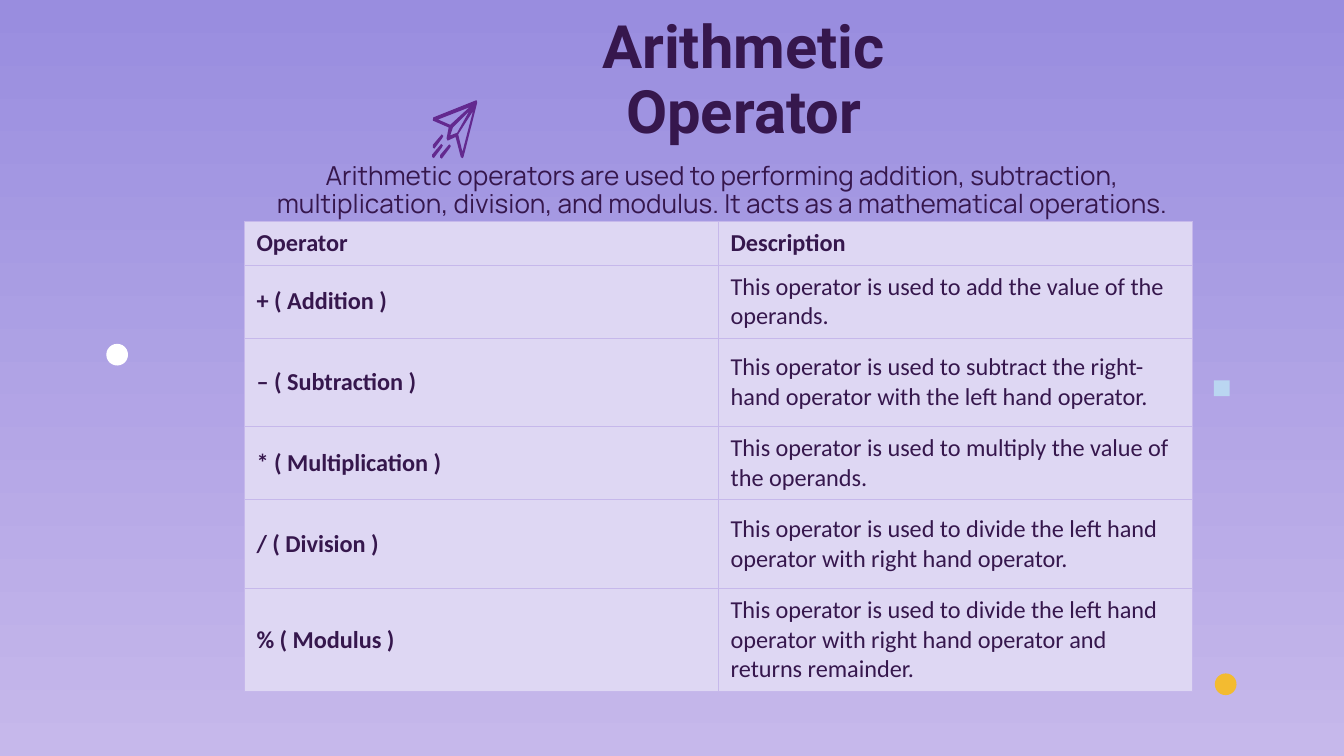
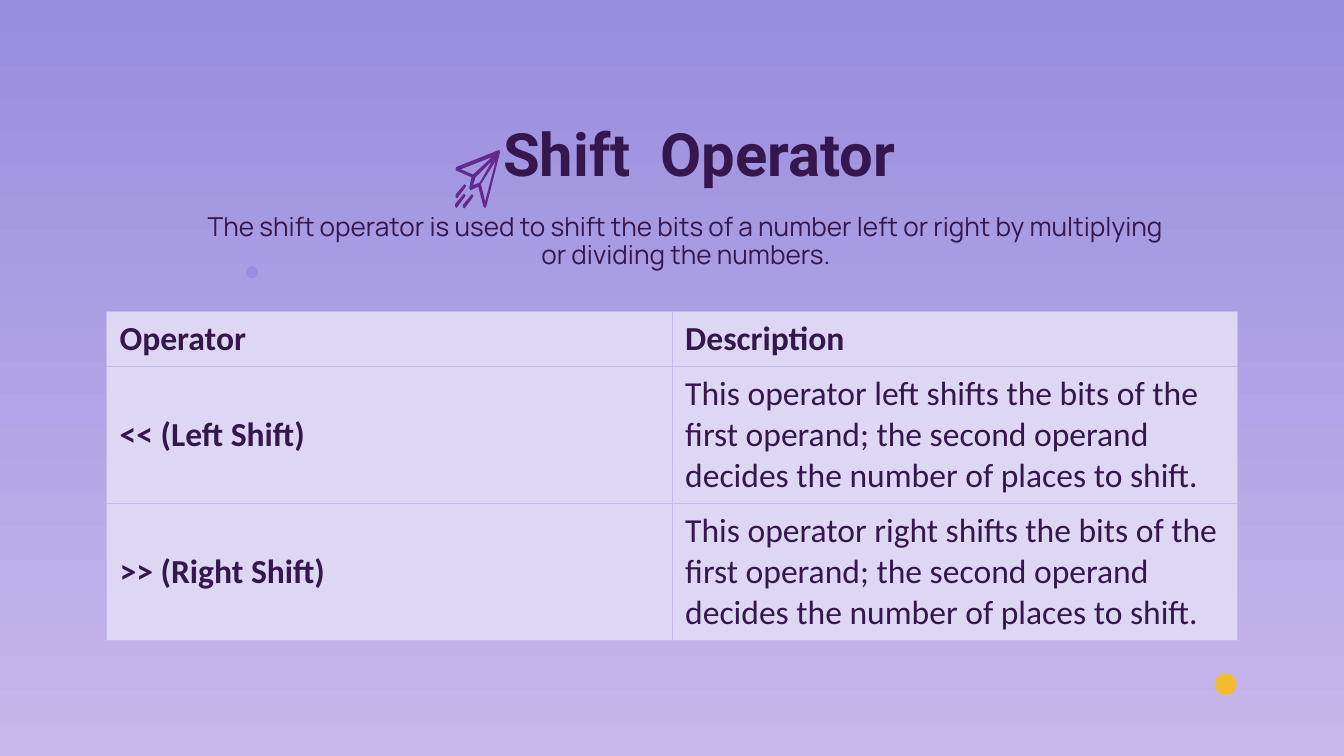
from lxml import etree
from pptx import Presentation
from pptx import util as u
from pptx.dml.color import RGBColor
from pptx.enum import shapes, text
from pptx.oxml.ns import qn

COLORS = {
    "sky": "998DDF", "haze": "C6B8EB", "ink": "36174D", "plane": "63298F",
    "cell": "DED7F3", "white": "FFFFFF", "blue": "BAD6F1", "yellow": "F3BB30",
}

# Decorations: preset shape, colour, left, top, side (cm)
OVAL, SQUARE = shapes.MSO_SHAPE.OVAL, shapes.MSO_SHAPE.RECTANGLE
WHITE_DOT = (OVAL, "white", 2.01, 6.5, 0.41)
BLUE_SQUARE = (SQUARE, "blue", 22.94, 7.19, 0.3)
YELLOW_DOT = (OVAL, "yellow", 22.96, 12.73, 0.41)
VIOLET_DOT = (OVAL, "sky", 4.65, 5.03, 0.23)

# Paper plane contours, in hundredths of a centimetre
PLANE_BODY = [
    [(81, 0), (1, 32), (0, 38), (30, 51), (26, 72), (28, 76), (43, 69),
     (53, 107), (56, 109), (58, 107), (84, 4), (83, 0)],
    [(69, 13), (33, 46), (10, 36)],
    [(69, 20), (46, 61), (33, 66), (38, 51)],
    [(76, 20), (56, 97), (48, 64)],
]
STREAK = [(17, 0), (0, 20), (0, 25), (3, 27), (18, 7), (20, 3)]
STREAK_STARTS = [(0, 64), (14, 83), (-1, 82)]

TITLE_SIZE = (9.83, 1.09)
INTRO_SIZE = (18.67, 2.39)

SLIDES = [
    {
        "title": "Arithmetic Operator", "title_at": (9.14, 1.8),
        "intro": "Arithmetic operators are used to performing addition, subtraction, "
                 "multiplication, division, and modulus. It acts as a mathematical operations.",
        "intro_at": (4.32, 2.95),
        "plane_at": (8.18, 1.9),
        "decor": [WHITE_DOT, BLUE_SQUARE, YELLOW_DOT],
        "table_at": (4.62, 4.19), "column": 8.96, "size": 13, "inset": 0.23,
        "heights": [0.79, 1.32, 1.68, 1.32, 1.68, 1.88],
        "rows": [
            ("Operator", "Description"),
            ("+ ( Addition )", "This operator is used to add the value of the operands."),
            ("– ( Subtraction )",
             "This operator is used to subtract the right-hand operator "
             "with the left hand operator."),
            ("* ( Multiplication )",
             "This operator is used to multiply the value of the operands."),
            ("/ ( Division )",
             "This operator is used to divide the left hand operator "
             "with right hand operator."),
            ("% ( Modulus )",
             "This operator is used to divide the left hand operator "
             "with right hand operator and returns remainder."),
        ],
    },
    {
        "title": "Shift  Operator", "title_at": (8.31, 2.62),
        "intro": "The shift operator is used to shift the bits of a number left or right "
                 "by multiplying or dividing the numbers.",
        "intro_at": (3.63, 3.91),
        "plane_at": (8.61, 2.84),
        "decor": [YELLOW_DOT, VIOLET_DOT],
        "table_at": (2.01, 5.89), "column": 10.69, "size": 18, "inset": 0.25,
        "heights": [1.02, 2.59, 2.59],
        "rows": [
            ("Operator", "Description"),
            ("<< (Left Shift)",
             "This operator left shifts the bits of the first operand; "
             "the second operand decides the number of places to shift."),
            (">> (Right Shift)",
             "This operator right shifts the bits of the first operand; "
             "the second operand decides the number of places to shift."),
        ],
    },
]


def color(name):
    return RGBColor.from_string(COLORS[name])


def add_span(para, words, font, size, bold=False):
    span = para.add_run()
    span.text = words
    span.font.name, span.font.size, span.font.bold = font, u.Pt(size), bold
    span.font.color.rgb = color("ink")


def write_centred(box, place, size, anchor, words, font, points, bold=False):
    box.left, box.top = map(u.Cm, place)
    box.width, box.height = map(u.Cm, size)
    frame = box.text_frame
    frame.word_wrap = True
    frame.auto_size = text.MSO_AUTO_SIZE.NONE
    frame.vertical_anchor = anchor
    frame.margin_left = frame.margin_right = u.Cm(0.25)
    frame.margin_top = frame.margin_bottom = u.Cm(0.13)
    para = frame.paragraphs[0]
    para.alignment = text.PP_ALIGN.CENTER
    para.line_spacing = 0.9
    para.space_before = u.Pt(0)
    add_span(para, words, font, points, bold)


def paint(shape, name):
    shape.shadow.inherit = False
    shape.fill.solid()
    shape.fill.fore_color.rgb = color(name)
    shape.line.fill.background()


def add_plane(page, place):
    group = page.shapes.add_group_shape()
    streaks = [[[(x + dx, y + dy) for x, y in STREAK]] for dx, dy in STREAK_STARTS]
    for contours in [PLANE_BODY] + streaks:
        builder = group.shapes.build_freeform(*contours[0][0], scale=u.Cm(1) / 100)
        for index, contour in enumerate(contours):
            if index:
                builder.move_to(*contour[0])
            builder.add_line_segments(contour[1:], close=True)
        paint(builder.convert_to_shape(*map(u.Cm, place)), "plane")


def add_decor(page, items):
    for preset, name, left, top, side in items:
        paint(page.shapes.add_shape(preset, *map(u.Cm, (left, top, side, side))), name)


def add_borders(cell):
    """Line all four sides; the lines must stand before the fill."""
    properties = cell._tc.get_or_add_tcPr()
    for index, side in enumerate(("lnL", "lnR", "lnT", "lnB")):
        line = etree.Element(qn("a:" + side), w=str(u.Pt(0.5)))
        fill = etree.SubElement(line, qn("a:solidFill"))
        etree.SubElement(fill, qn("a:srgbClr"), val=COLORS["haze"])
        properties.insert(index, line)


def add_operator_table(page, content):
    rows, heights, column = content["rows"], content["heights"], content["column"]
    table = page.shapes.add_table(
        len(rows), 2, *map(u.Cm, (*content["table_at"], 2 * column, sum(heights)))).table
    for table_column in table.columns:
        table_column.width = u.Cm(column)
    for r, (row, height) in enumerate(zip(rows, heights)):
        table.rows[r].height = u.Cm(height)
        for c, words in enumerate(row):
            cell = table.cell(r, c)
            cell.fill.solid()
            cell.fill.fore_color.rgb = color("cell")
            cell.vertical_anchor = text.MSO_ANCHOR.MIDDLE
            cell.margin_left = cell.margin_right = u.Cm(content["inset"])
            cell.margin_top = cell.margin_bottom = u.Cm(0.13)
            add_borders(cell)
            add_span(cell.text_frame.paragraphs[0], words, "Calibri",
                     content["size"], bold=r == 0 or c == 0)


def set_background(master):
    fill = master.background.fill
    fill.gradient()
    fill.gradient_angle = 270
    for stop, name in zip(fill.gradient_stops, ("sky", "haze")):
        stop.color.rgb = color(name)


def main():
    deck = Presentation()
    deck.slide_width, deck.slide_height = u.Cm(25.4), u.Cm(14.29)
    set_background(deck.slide_master)
    for content in SLIDES:
        page = deck.slides.add_slide(deck.slide_layouts.get_by_name("Title Only"))
        write_centred(page.shapes.title, content["title_at"], TITLE_SIZE,
                      text.MSO_ANCHOR.BOTTOM, content["title"], "Roboto", 32, bold=True)
        write_centred(page.shapes.add_textbox(0, 0, 0, 0), content["intro_at"], INTRO_SIZE,
                      text.MSO_ANCHOR.TOP, content["intro"], "Manrope", 14)
        add_plane(page, content["plane_at"])
        add_decor(page, content["decor"])
        add_operator_table(page, content)
    deck.save("out.pptx")


if __name__ == "__main__":
    main()
